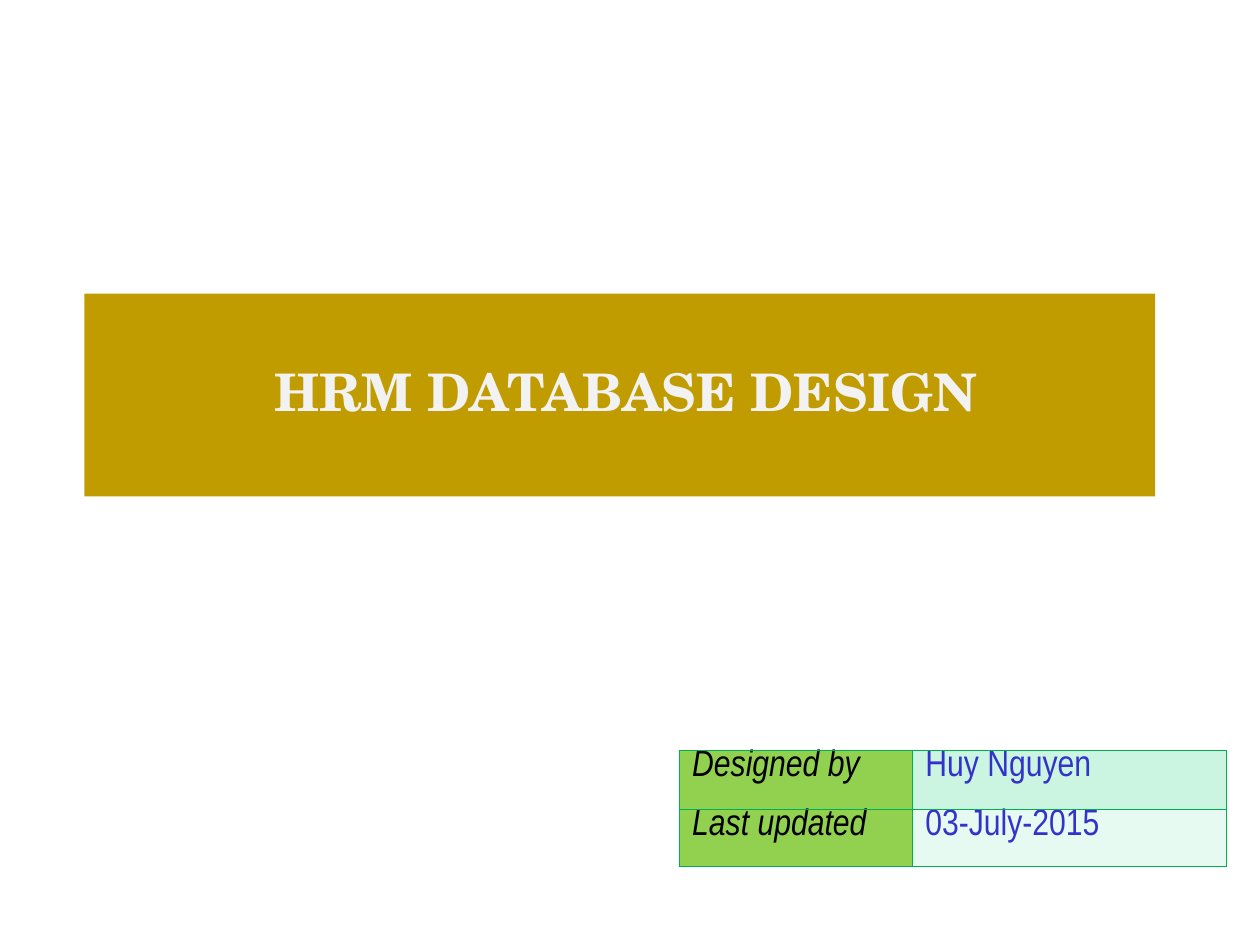
from dataclasses import dataclass

from lxml import etree
from pptx import Presentation
from pptx.dml.color import RGBColor
from pptx.enum import shapes, text
from pptx.oxml import ns
from pptx.util import Cm, Pt


@dataclass(frozen=True)
class Theme:
    banner: str = "C09C00"
    title: str = "F2F2F2"
    label: str = "000000"
    value: str = "3333CC"
    label_fill: str = "92D050"
    value_fills: tuple = ("CBF5E1", "E7FAF1")
    border: str = "00B050"
    border_width: float = 0.45
    title_font: str = "TeX Gyre Schola"
    table_font: str = "Arial Narrow"
    title_size: float = 29.6
    table_size: float = 21


THEME = Theme()


def paint(target, color):
    target.fill.solid()
    target.fill.fore_color.rgb = RGBColor.from_string(color)


def style_font(font, name, size, color, bold=False, italic=False):
    font.name = name
    font.size = Pt(size)
    font.color.rgb = RGBColor.from_string(color)
    font.bold = bold
    font.italic = italic


def add_borders(cell):
    properties = cell._tc.get_or_add_tcPr()
    for position, side in enumerate(("lnL", "lnR", "lnT", "lnB")):
        line = etree.Element(ns.qn(f"a:{side}"), w=str(Pt(THEME.border_width)))
        fill = etree.SubElement(line, ns.qn("a:solidFill"))
        etree.SubElement(fill, ns.qn("a:srgbClr"), val=THEME.border)
        properties.insert(position, line)


def add_banner(slide, left, top, width, height, title):
    shape = slide.shapes.add_shape(
        shapes.MSO_SHAPE.RECTANGLE, Cm(left), Cm(top), Cm(width), Cm(height)
    )
    shape.shadow.inherit = False
    paint(shape, THEME.banner)
    shape.line.fill.background()
    frame = shape.text_frame
    frame.word_wrap = True
    frame.vertical_anchor = text.MSO_ANCHOR.MIDDLE
    frame.margin_left = Cm(0.51)
    paragraph = frame.paragraphs[0]
    paragraph.text = title
    paragraph.alignment = text.PP_ALIGN.CENTER
    paragraph.line_spacing = 0.9
    style_font(paragraph.font, THEME.title_font, THEME.title_size, THEME.title, bold=True)


def fill_cell(cell, content, fill, color, italic):
    paint(cell, fill)
    cell.margin_top = cell.margin_bottom = Cm(0)
    paragraph = cell.text_frame.paragraphs[0]
    paragraph.text = content
    style_font(paragraph.font, THEME.table_font, THEME.table_size, color, italic=italic)
    add_borders(cell)


def add_details(slide, left, top, column_widths, row_heights, details):
    table = slide.shapes.add_table(
        len(row_heights), len(column_widths), Cm(left), Cm(top),
        Cm(sum(column_widths)), Cm(sum(row_heights)),
    ).table
    for column, width in zip(table.columns, column_widths):
        column.width = Cm(width)
    for row, height in zip(table.rows, row_heights):
        row.height = Cm(height)
    for index, (label, value) in enumerate(details):
        fill_cell(table.cell(index, 0), label, THEME.label_fill, THEME.label, True)
        fill_cell(table.cell(index, 1), value, THEME.value_fills[index], THEME.value, False)


def main():
    presentation = Presentation()
    presentation.slide_width = Cm(25.4)
    presentation.slide_height = Cm(19.05)
    slide = presentation.slides.add_slide(presentation.slide_layouts[6])
    add_details(
        slide, 13.7, 15.12, (4.7, 6.32), (1.19, 1.15),
        (("Designed by", "Huy Nguyen"), ("Last updated", "03-July-2015")),
    )
    add_banner(slide, 1.7, 5.92, 21.59, 4.09, "HRM DATABASE DESIGN")
    presentation.save("out.pptx")


if __name__ == "__main__":
    main()
